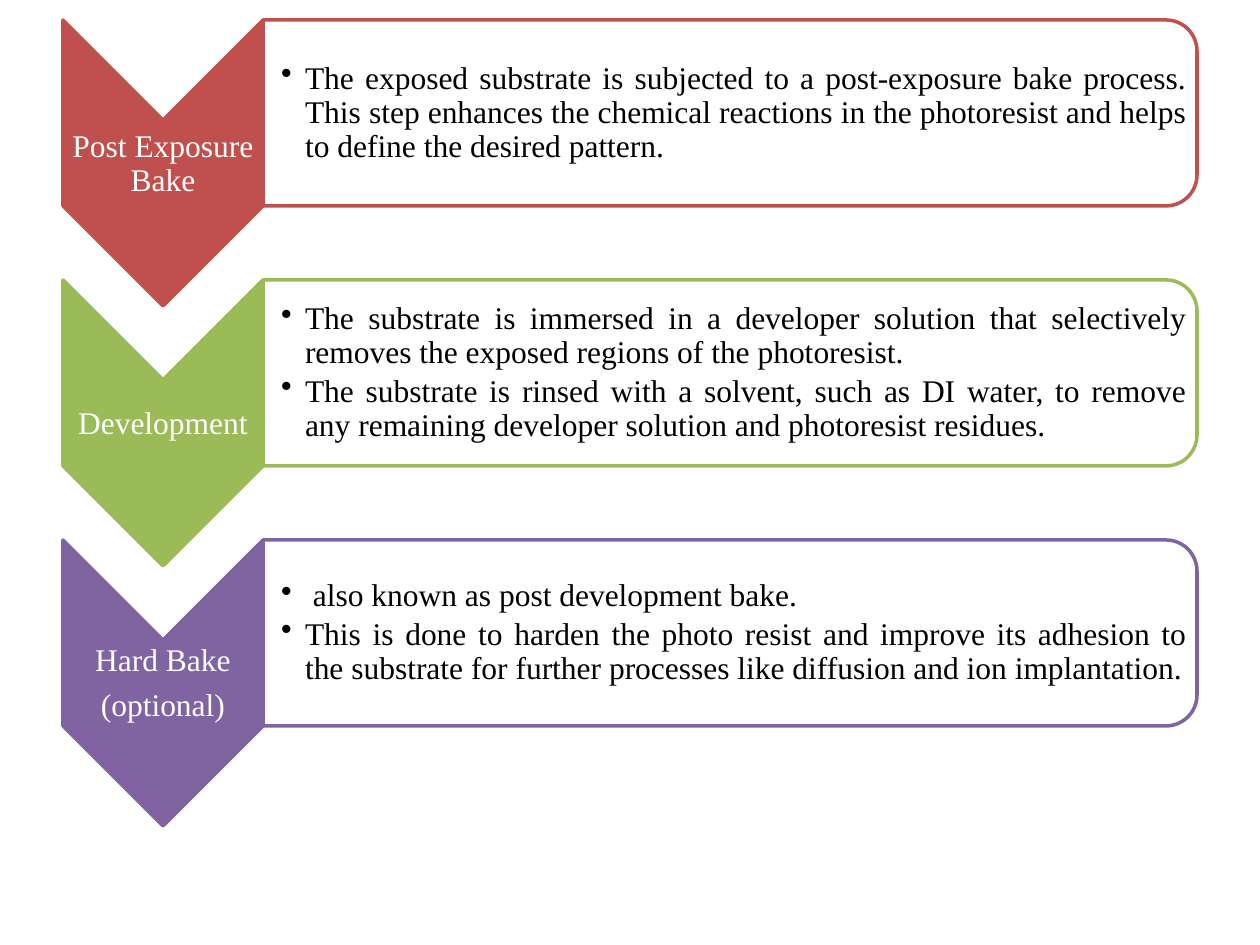
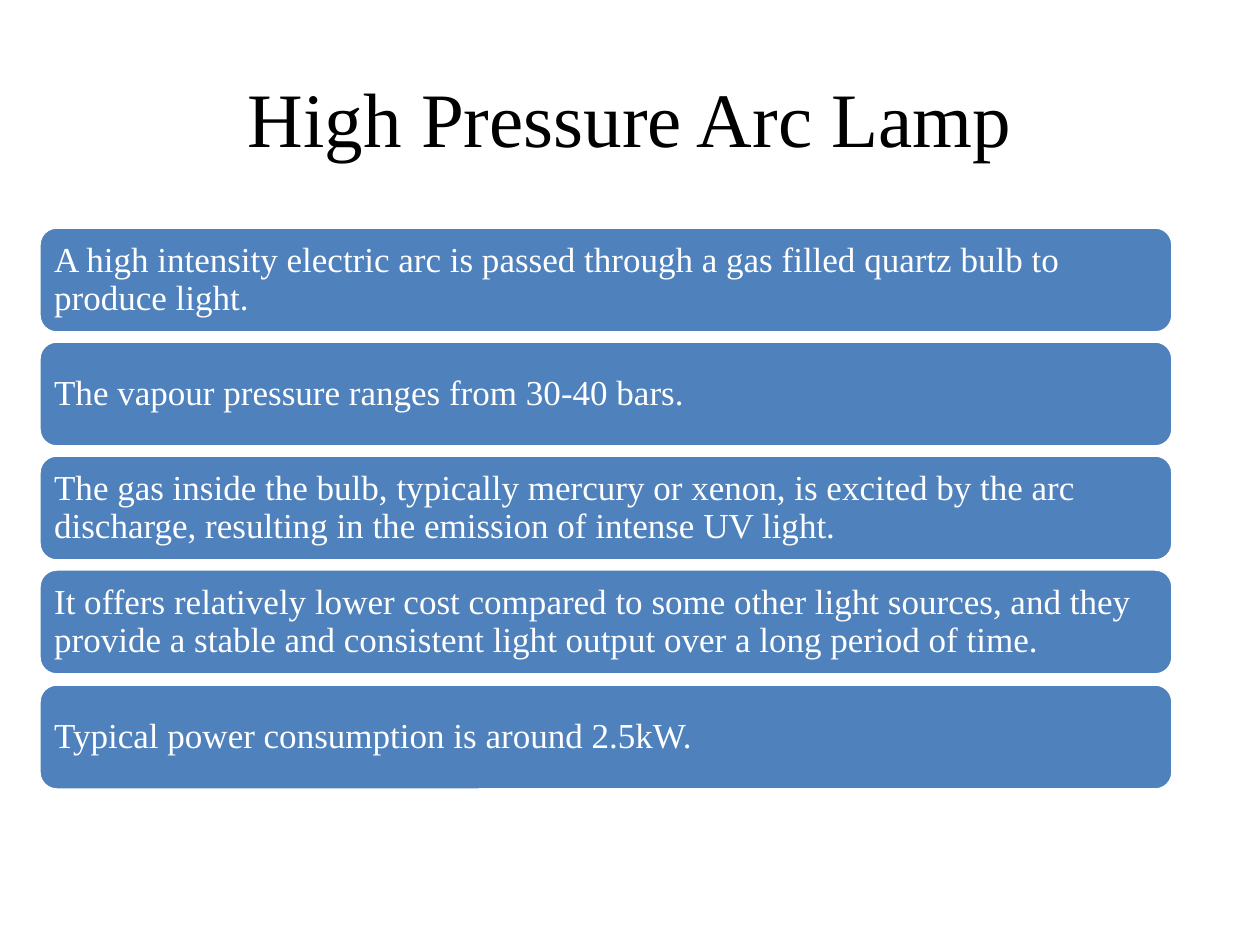
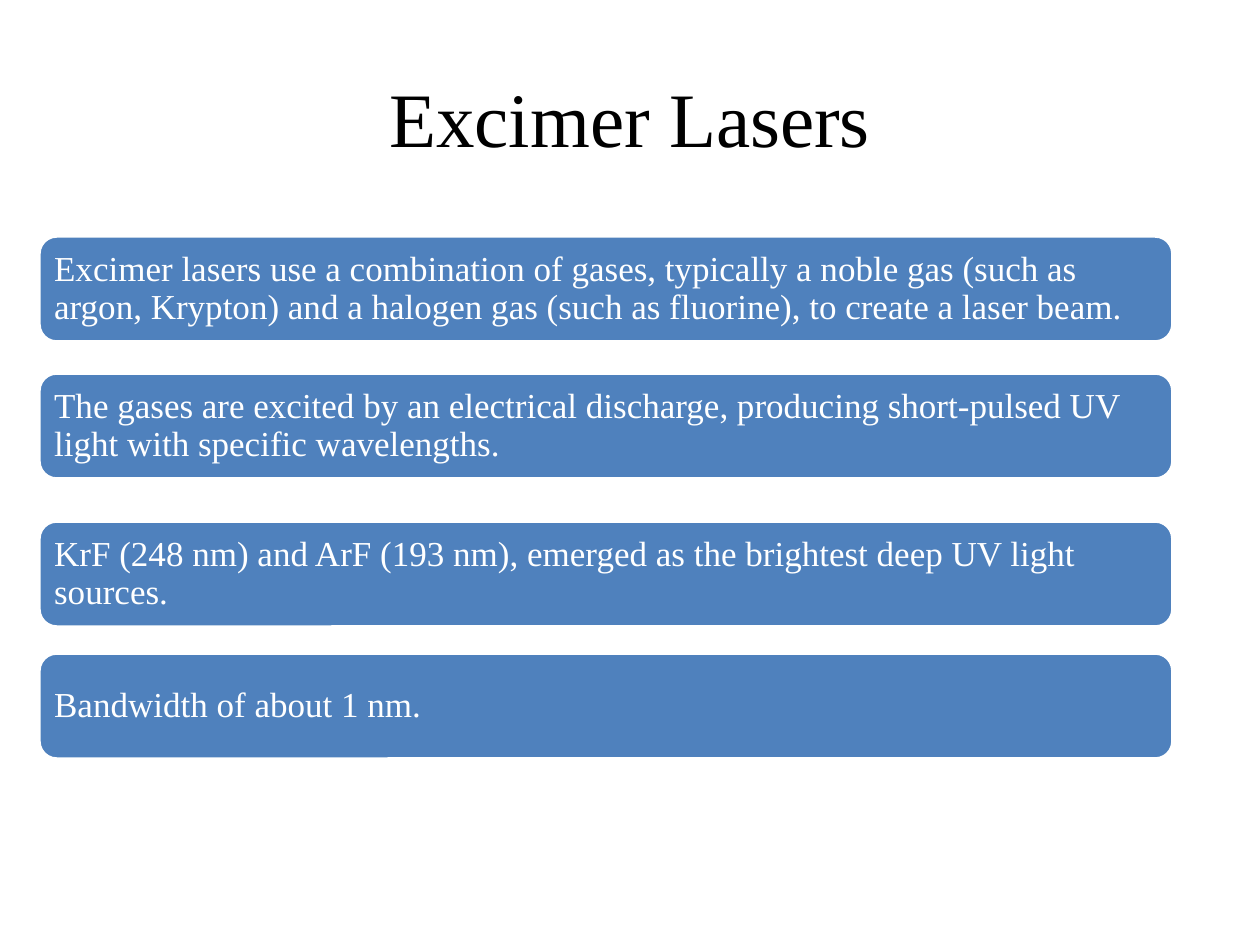
from lxml.etree import SubElement
from pptx import Presentation
from pptx.dml.color import RGBColor
from pptx.enum.shapes import MSO_SHAPE
from pptx.enum.text import MSO_ANCHOR, PP_ALIGN
from pptx.oxml.ns import qn
from pptx.util import Emu, Pt

WHITE = RGBColor(0xFF, 0xFF, 0xFF)
BLACK = RGBColor(0x00, 0x00, 0x00)
BLUE = RGBColor(0x4F, 0x81, 0xBD)
RED = RGBColor(0xC0, 0x50, 0x4D)
GREEN = RGBColor(0x9B, 0xBB, 0x59)
PURPLE = RGBColor(0x80, 0x64, 0xA2)

FONT = "Times New Roman"
TITLE_ONLY, BLANK = 5, 6

# Paragraph formats
TITLE_PARA = {"alignment": PP_ALIGN.CENTER}
BAR_PARA = {"alignment": PP_ALIGN.LEFT, "line_spacing": 0.9, "space_after": Pt(7)}
STEP_PARA = {"alignment": PP_ALIGN.CENTER, "line_spacing": 0.9, "space_after": Pt(6.3)}
DETAIL_PARA = {"alignment": PP_ALIGN.JUSTIFY, "line_spacing": 0.9, "space_after": Pt(2.7)}

# Slide content
STEPS = [
    (RED, ["Post Exposure Bake"], [
        "The exposed substrate is subjected to a post-exposure bake process. This step "
        "enhances the chemical reactions in the photoresist and helps to define the "
        "desired pattern."]),
    (GREEN, ["Development"], [
        "The substrate is immersed in a developer solution that selectively removes the "
        "exposed regions of the photoresist.",
        "The substrate is rinsed with a solvent, such as DI water, to remove any remaining "
        "developer solution and photoresist residues."]),
    (PURPLE, ["Hard Bake", "(optional)"], [
        " also known as post development bake.",
        "This is done to harden the photo resist and improve its adhesion to the substrate "
        "for further processes like diffusion and ion implantation."]),
]
ARC_LAMP = [
    "A high intensity electric arc is passed through a gas filled quartz bulb to produce light.",
    "The vapour pressure ranges from 30-40 bars.",
    "The gas inside the bulb, typically mercury or xenon, is excited by the arc discharge, "
    "resulting in the emission of intense UV light.",
    "It offers relatively lower cost compared to some other light sources, and they provide "
    "a stable and consistent light output over a long period of time.",
    "Typical power consumption is around 2.5kW.",
]
ARC_LAMP_TOPS = [227 + 457 * row // 4 for row in range(len(ARC_LAMP))]
EXCIMER = [
    "Excimer lasers use a combination of gases, typically a noble gas (such as argon, "
    "Krypton) and a halogen gas (such as fluorine), to create a laser beam.",
    "The gases are excited by an electrical discharge, producing short-pulsed UV light with "
    "specific wavelengths.",
    "KrF (248 nm) and ArF (193 nm), emerged as the brightest deep UV light sources.",
    "Bandwidth of about 1 nm.",
]
EXCIMER_TOPS = [236, 373, 521, 653]


def px(length):
    return Emu(round(length * 914400 / 126))


def assign(target, values):
    for name, value in values.items():
        setattr(target, name, value)


class Builder:
    def __init__(self):
        self.deck = Presentation()
        assign(self.deck, {"slide_width": px(1260), "slide_height": px(945)})
        self.page = None

    def new_page(self, title=None):
        layout = BLANK if title is None else TITLE_ONLY
        self.page = self.deck.slides.add_slide(self.deck.slide_layouts[layout])
        if title is not None:
            box = self.page.shapes.title
            assign(box, {"left": px(63), "top": px(38), "width": px(1134), "height": px(158)})
            self.fill_text(box, [title], 44, BLACK, TITLE_PARA)

    def fill_text(self, box, lines, size, color, para_format, insets=(13, 6, 13, 6), indent=0):
        frame = box.text_frame
        sides = ("margin_left", "margin_top", "margin_right", "margin_bottom")
        assign(frame, dict(zip(sides, map(px, insets))))
        assign(frame, {"word_wrap": True, "vertical_anchor": MSO_ANCHOR.MIDDLE})
        for number, line in enumerate(lines):
            para = frame.add_paragraph() if number else frame.paragraphs[0]
            assign(para, para_format)
            span = para.add_run()
            span.text = line
            assign(span.font, {"name": FONT, "size": Pt(size)})
            span.font.color.rgb = color
            if indent:
                self.bullet(para, indent)

    def bullet(self, para, indent):
        properties = para._p.get_or_add_pPr()
        properties.set("marL", str(px(indent)))
        properties.set("indent", str(-px(indent)))
        SubElement(properties, qn("a:buChar")).set("char", "•")

    def shape(self, kind, left, top, width, height, fill, line, turned=False):
        """Add a shape that fills the given area, turned a quarter if asked."""
        if turned:
            left, top = left + (width - height) / 2, top + (height - width) / 2
            width, height = height, width
        shape = self.page.shapes.add_shape(kind, *map(px, (left, top, width, height)))
        shape.rotation = 90 if turned else 0
        shape.shadow.inherit = False
        shape.fill.solid()
        shape.fill.fore_color.rgb = fill
        shape.line.color.rgb = line
        shape.line.width = Pt(2)
        return shape

    def text(self, left, top, width, height, *content, **options):
        box = self.page.shapes.add_textbox(*map(px, (left, top, width, height)))
        self.fill_text(box, *content, **options)

    def step(self, top, color, names, details):
        self.shape(MSO_SHAPE.CHEVRON, 63, top, 200, 286, color, color, turned=True)
        self.text(63, top + 101, 200, 86, names, 18, WHITE, STEP_PARA, insets=(1, 1, 1, 1))
        self.shape(MSO_SHAPE.ROUND_2_SAME_RECTANGLE, 263, top, 934, 186, WHITE, color,
                   turned=True)
        self.text(263, top + 9, 925, 168, details, 18, BLACK, DETAIL_PARA,
                  insets=(18, 1, 1, 1), indent=24)

    def bar(self, top, line):
        bar = self.shape(MSO_SHAPE.ROUNDED_RECTANGLE, 39, top, 1134, 106, BLUE, WHITE)
        self.fill_text(bar, [line], 20, WHITE, BAR_PARA, insets=(10, 10, 10, 10))


def main():
    builder = Builder()

    # Process steps
    builder.new_page()
    for row, (color, names, details) in enumerate(STEPS):
        builder.step(20 + 260 * row, color, names, details)

    # Light sources
    for title, tops, lines in (("High Pressure Arc Lamp", ARC_LAMP_TOPS, ARC_LAMP),
                               ("Excimer Lasers", EXCIMER_TOPS, EXCIMER)):
        builder.new_page(title)
        for top, line in zip(tops, lines):
            builder.bar(top, line)

    builder.deck.save("out.pptx")


if __name__ == "__main__":
    main()
